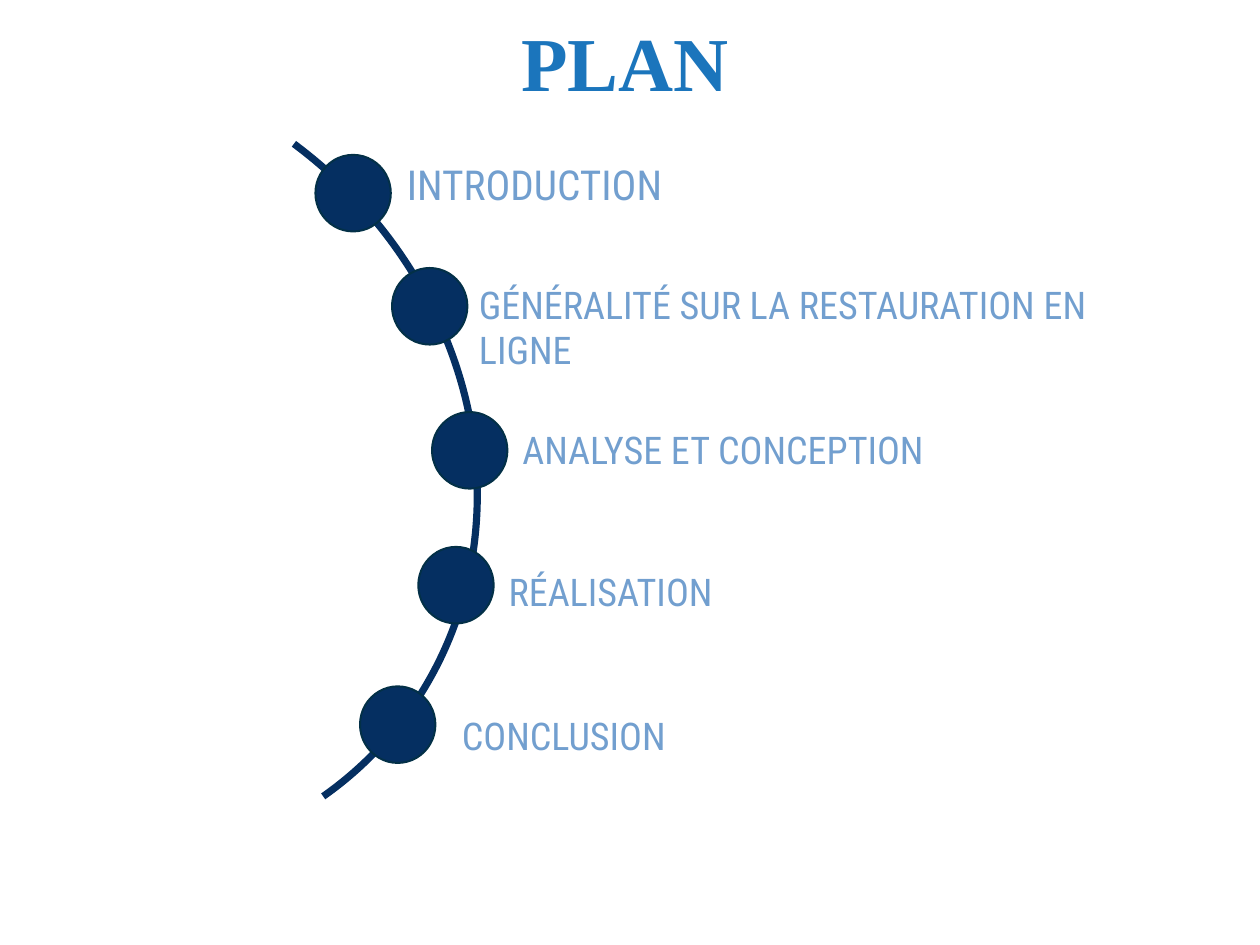
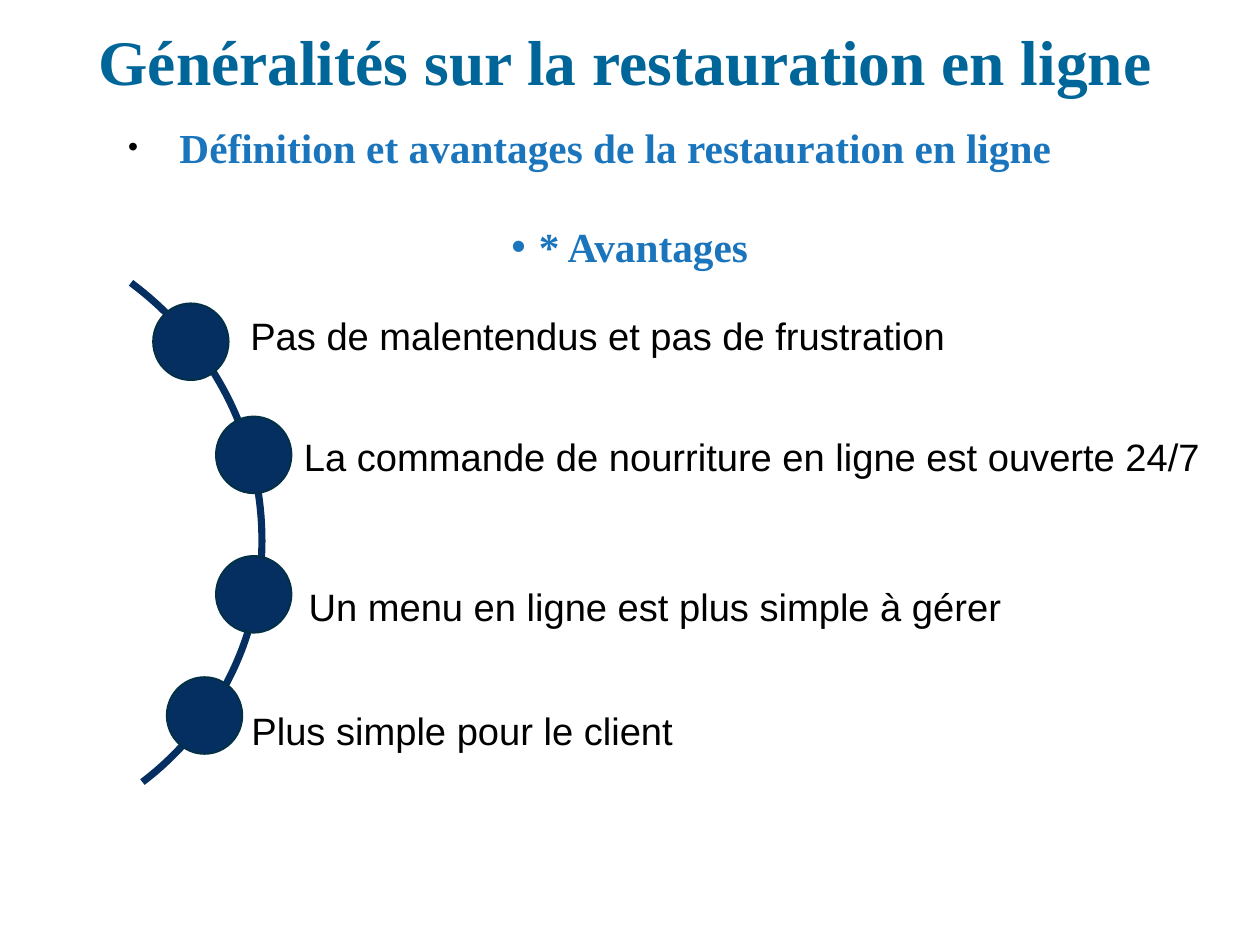
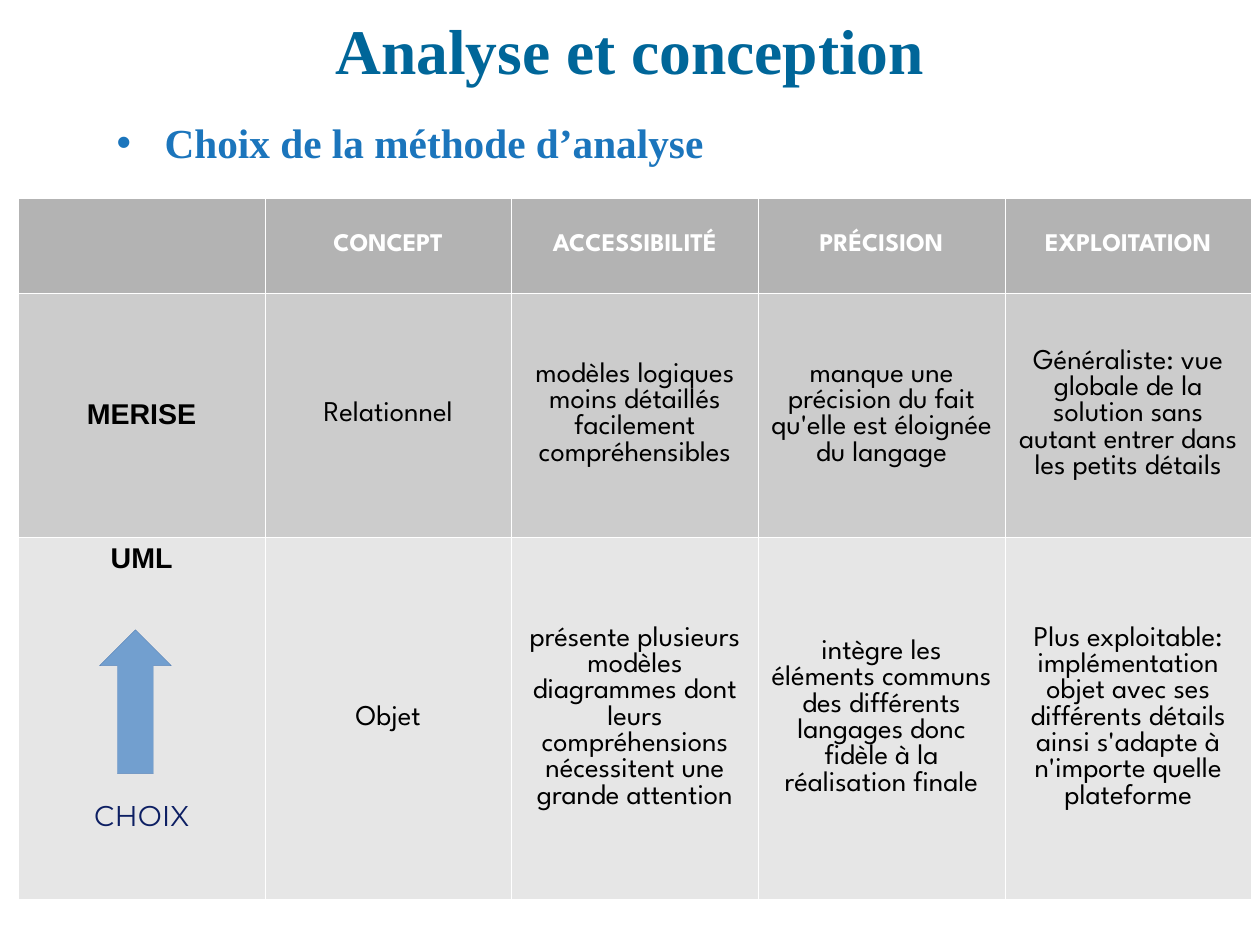
from typing import NamedTuple

from lxml import etree
from pptx import Presentation
from pptx.dml.color import RGBColor
from pptx.enum.shapes import MSO_SHAPE
from pptx.enum.text import MSO_ANCHOR, MSO_AUTO_SIZE, PP_ALIGN
from pptx.oxml.ns import qn
from pptx.util import Cm, Inches, Pt

ARC, DOT, UP_ARROW = MSO_SHAPE.ARC, MSO_SHAPE.FLOWCHART_CONNECTOR, MSO_SHAPE.UP_ARROW
LEFT, CENTER = PP_ALIGN.LEFT, PP_ALIGN.CENTER
TOP, MIDDLE = MSO_ANCHOR.TOP, MSO_ANCHOR.MIDDLE
NO_AUTOFIT = MSO_AUTO_SIZE.NONE
TITLE_ONLY = 5

COLORS = {
    "title": "006699",
    "heading": "1B75BC",
    "navy": "052F61",
    "dot_line": "033047",
    "light_blue": "729FCF",
    "arrow_line": "3465A4",
    "choice": "0D1F63",
    "black": "000000",
    "white": "FFFFFF",
    "header_row": "B3B3B3",
    "first_row": "CCCCCC",
    "second_row": "E6E6E6",
}
SERIF, SANS, TABLE_FONT = "Times New Roman", "Arial", "League Spartan"
CHOICE_FONT, PLAN_FONT = "Montserrat", "Roboto Condensed"

HEADING = {"font": SERIF, "size": 26, "color": "heading", "bold": True}
TITLE_BOX = (0.51, 0.04, 9.92, 0.98)
DOT_WIDTH, DOT_HEIGHT = 0.66, 0.67

TABLE_ROWS = [
    ["", "CONCEPT", "ACCESSIBILITÉ", "PRÉCISION", "EXPLOITATION"],
    [
        "MERISE",
        "Relationnel",
        "modèles logiques moins détaillés facilement compréhensibles",
        "manque une précision du fait qu'elle est éloignée du langage",
        "Généraliste: vue globale de la solution sans autant entrer dans les petits détails",
    ],
    [
        "UML",
        "Objet",
        "présente plusieurs modèles diagrammes dont leurs compréhensions "
        "nécessitent une grande attention",
        "intègre les éléments communs des différents langages donc fidèle "
        "à la réalisation finale",
        "Plus exploitable: implémentation objet avec ses différents détails "
        "ainsi s'adapte à n'importe quelle plateforme",
    ],
]


class Milestone(NamedTuple):
    """A dot, placed from the arc's centre, and its label, placed from the dot's centre."""

    text: str
    dot: tuple
    label: tuple
    size: int = 24


def rgb(name):
    return RGBColor.from_string(COLORS[name])


def inches(box):
    return [Inches(length) for length in box]


def add_bullet(paragraph, indent, color, percent):
    properties = paragraph._p.get_or_add_pPr()
    properties.set("marL", str(Inches(indent)))
    properties.set("indent", str(-Inches(indent)))
    bullet_color = etree.SubElement(properties, qn("a:buClr"))
    etree.SubElement(bullet_color, qn("a:srgbClr")).set("val", COLORS[color])
    etree.SubElement(properties, qn("a:buSzPct")).set("val", str(percent * 1000))
    etree.SubElement(properties, qn("a:buFont")).set("typeface", SANS)
    etree.SubElement(properties, qn("a:buChar")).set("char", "•")


def write_text(frame, text, *, font, size, color, bold=False, align=LEFT,
               space_before=0, indent=0, bullet_color="heading", bullet_percent=100):
    """Write one paragraph, in the empty first one or after the others."""
    paragraph = frame.paragraphs[0] if not frame.text else frame.add_paragraph()
    if indent:
        add_bullet(paragraph, indent, bullet_color, bullet_percent)
    paragraph.alignment = align
    paragraph.space_before = Pt(space_before)
    run = paragraph.add_run()
    run.text = text
    run.font.name, run.font.size, run.font.bold = font, Pt(size), bold
    run.font.color.rgb = rgb(color)


def prepare_frame(frame, anchor):
    frame.word_wrap = True
    frame.auto_size = NO_AUTOFIT
    frame.vertical_anchor = anchor
    frame.margin_left = frame.margin_right = 0
    frame.margin_top = frame.margin_bottom = 0
    return frame


def add_text_frame(slide, box):
    return prepare_frame(slide.shapes.add_textbox(*inches(box)).text_frame, TOP)


def add_titled_slide(presentation, text, box=TITLE_BOX, size=40, color="title"):
    slide = presentation.slides.add_slide(presentation.slide_layouts[TITLE_ONLY])
    title = slide.shapes.title
    title.left, title.top, title.width, title.height = inches(box)
    frame = prepare_frame(title.text_frame, MIDDLE)
    write_text(frame, text, font=SERIF, size=size, color=color, bold=True, align=CENTER)
    return slide


def add_outlined_shape(slide, kind, box, fill, line, line_width):
    shape = slide.shapes.add_shape(kind, *inches(box))
    shape.shadow.inherit = False
    if fill:
        shape.fill.solid()
        shape.fill.fore_color.rgb = rgb(fill)
    else:
        shape.fill.background()
    shape.line.color.rgb = rgb(line)
    shape.line.width = Pt(line_width)
    return shape


def add_milestone_arc(slide, box, milestones, label_width, font, color):
    left, top, width, height = box
    center_x, center_y = left + width / 2, top + height / 2
    arc = add_outlined_shape(slide, ARC, box, None, "navy", 4.5)
    arc.adjustments[0], arc.adjustments[1] = 162, 9.2
    arc.rotation = 36.6
    for milestone in milestones:
        dot_x, dot_y = center_x + milestone.dot[0], center_y + milestone.dot[1]
        dot_box = (dot_x - DOT_WIDTH / 2, dot_y - DOT_HEIGHT / 2, DOT_WIDTH, DOT_HEIGHT)
        add_outlined_shape(slide, DOT, dot_box, "navy", "dot_line", 1.25)
        label_x, label_y = milestone.label
        frame = add_text_frame(slide, (dot_x + label_x, dot_y + label_y, label_width, 0.46))
        write_text(frame, milestone.text, font=font, size=milestone.size, color=color)


def style_cell(cell, fill, anchor):
    properties = cell._tc.get_or_add_tcPr()
    for side in ("a:lnL", "a:lnR", "a:lnT", "a:lnB"):
        border = etree.SubElement(properties, qn(side), w=str(Pt(0.06)))
        solid = etree.SubElement(border, qn("a:solidFill"))
        etree.SubElement(solid, qn("a:srgbClr")).set("val", COLORS["white"])
    cell.fill.solid()
    cell.fill.fore_color.rgb = rgb(fill)
    cell.vertical_anchor = anchor
    cell.margin_left = cell.margin_right = Inches(0.1)
    cell.margin_top = cell.margin_bottom = Inches(0.05)


def add_method_table(slide, box):
    left, top, width, height = box
    row_heights = (0.83, 2.14, height - 0.83 - 2.14)
    fills = ("header_row", "first_row", "second_row")
    column_count = len(TABLE_ROWS[0])
    table = slide.shapes.add_table(len(TABLE_ROWS), column_count, *inches(box)).table
    table.first_row = table.horz_banding = False
    for column in table.columns:
        column.width = Inches(width / column_count)
    for row_index, texts in enumerate(TABLE_ROWS):
        table.rows[row_index].height = Inches(row_heights[row_index])
        for column_index, text in enumerate(texts):
            cell = table.cell(row_index, column_index)
            is_header, is_method = row_index == 0, column_index == 0
            style_cell(cell, fills[row_index], TOP if text == "UML" else MIDDLE)
            if text:
                write_text(cell.text_frame, text, font=SANS if is_method else TABLE_FONT,
                           size=16 if is_header else 18,
                           color="white" if is_header else "black",
                           bold=is_header or is_method, align=CENTER)
    write_text(table.cell(2, 0).text_frame, "CHOIX", font=CHOICE_FONT, size=18,
               color="choice", align=CENTER, space_before=141)
    arrow_box = (left + 0.71, top + 3.78, 0.63, 1.26)
    add_outlined_shape(slide, UP_ARROW, arrow_box, "light_blue", "arrow_line", 0.1)


def build_plan(presentation):
    slide = add_titled_slide(presentation, "PLAN", size=48, color="heading")
    milestones = [
        Milestone("INTRODUCTION", (2.57, -2.33), (0.47, -0.3), 26),
        Milestone("GÉNÉRALITÉ SUR LA RESTAURATION EN LIGNE", (3.24, -1.34), (0.43, -0.22)),
        Milestone("ANALYSE ET CONCEPTION", (3.59, -0.08), (0.46, -0.21)),
        Milestone("RÉALISATION", (3.47, 1.1), (0.46, -0.15)),
        Milestone("CONCLUSION", (2.96, 2.32), (0.56, -0.11)),
    ]
    add_milestone_arc(slide, (-3.25, 0.58, 7.54, 6.88), milestones, 5.98,
                      PLAN_FONT, "light_blue")


def build_advantages(presentation):
    slide = add_titled_slide(presentation, "Généralités sur la restauration en ligne")
    frame = add_text_frame(slide, (1.12, 1.07, 8.78, 1.3))
    write_text(frame, "Définition et avantages de la restauration en ligne",
               indent=0.45, bullet_color="black", bullet_percent=69, **HEADING)
    write_text(frame, "* Avantages", indent=0.24, align=CENTER, space_before=31, **HEADING)
    milestones = [
        Milestone("Pas de malentendus et pas de frustration", (2.14, -1.66), (0.52, -0.26)),
        Milestone("La commande de nourriture en ligne est ouverte 24/7",
                  (2.69, -0.67), (0.44, -0.19)),
        Milestone("Un menu en ligne est plus simple à gérer", (2.69, 0.55), (0.48, -0.1)),
        Milestone("Plus simple pour le client", (2.26, 1.61), (0.41, -0.07)),
    ]
    add_milestone_arc(slide, (-3.26, 1.94, 5.58, 5.42), milestones, 8, SANS, "black")


def build_analysis(presentation):
    slide = add_titled_slide(presentation, "Analyse et conception", (0, 0, 11.02, 0.86))
    frame = add_text_frame(slide, (1.02, 1.03, 8.98, 0.4))
    write_text(frame, "Choix de la méthode d’analyse", indent=0.42, **HEADING)
    add_method_table(slide, (0.16, 1.73, 10.79, 6.14))


def main():
    presentation = Presentation()
    presentation.slide_width = Cm(28)
    presentation.slide_height = Cm(21)
    build_plan(presentation)
    build_advantages(presentation)
    build_analysis(presentation)
    presentation.save("out.pptx")


if __name__ == "__main__":
    main()
